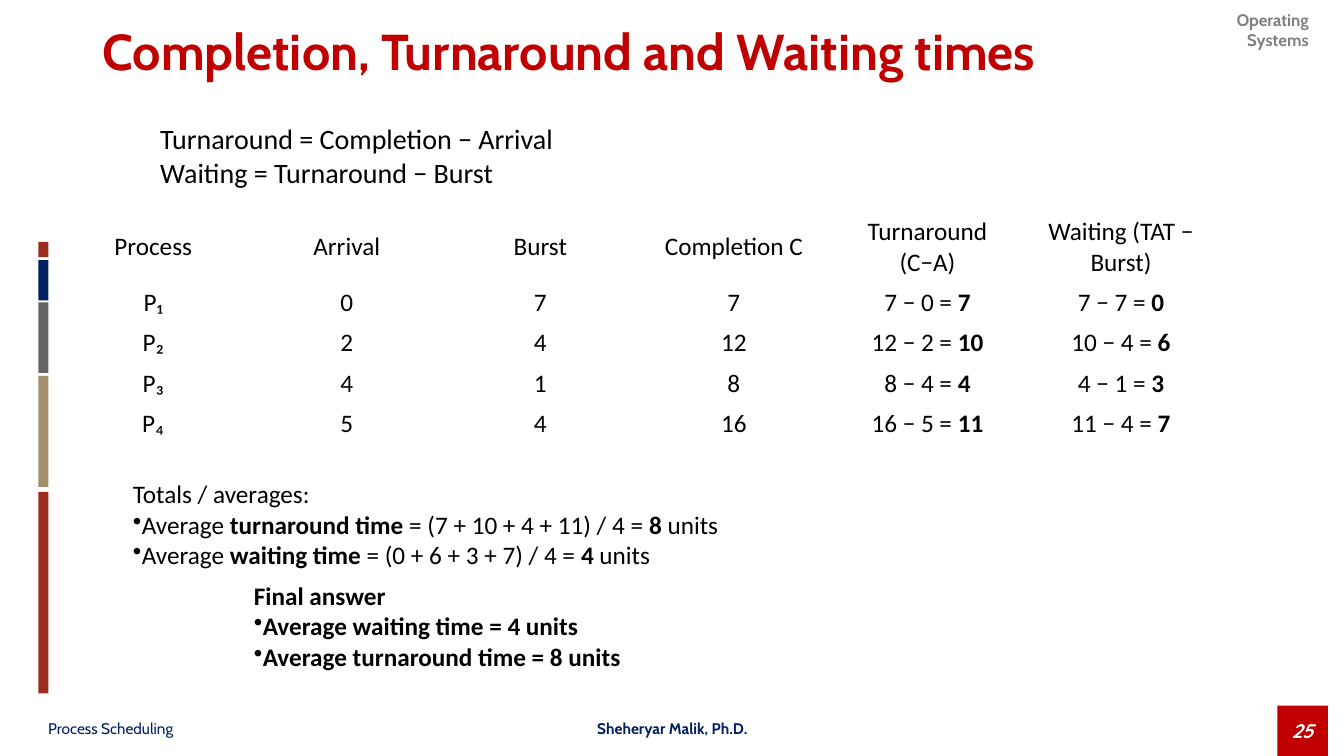
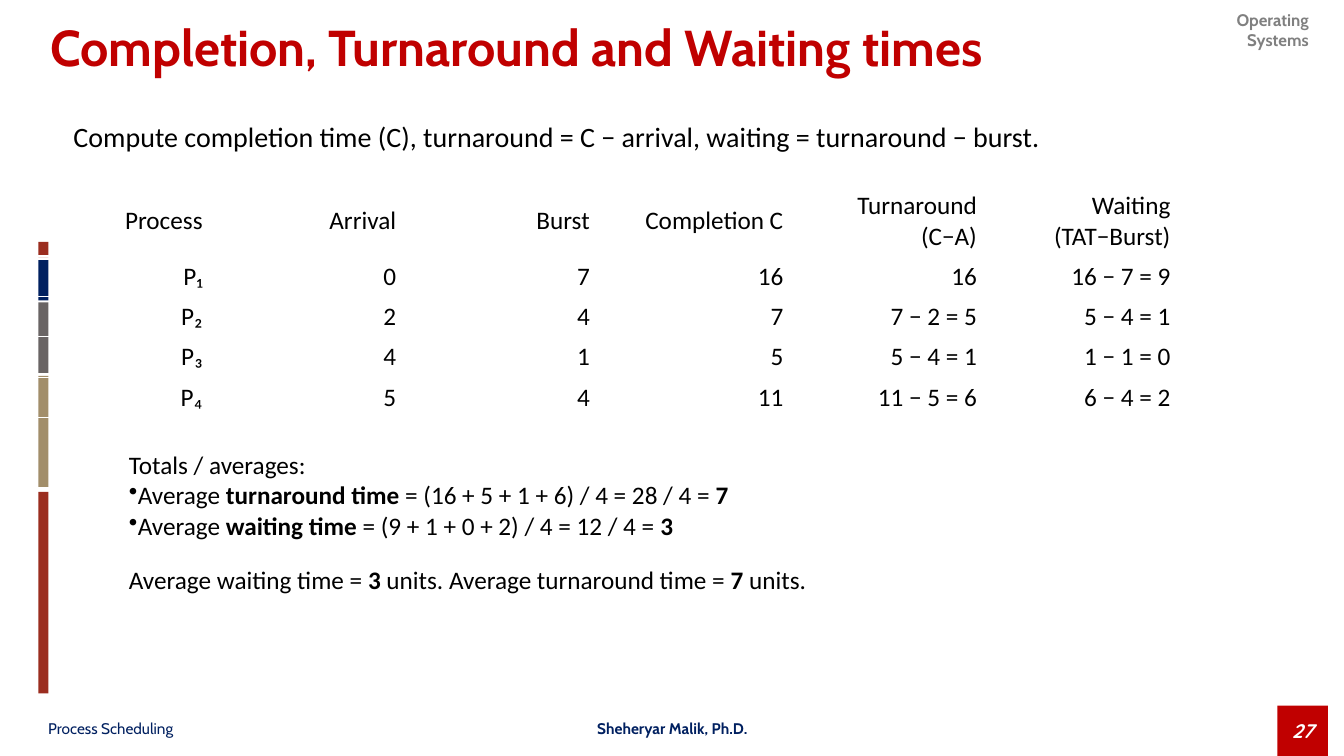
import pptx
import pptx.util
import pptx.dml.color
import pptx.enum.shapes
import pptx.enum.text
import lxml.etree
import pptx.oxml.ns

Inches = pptx.util.Inches
RGBColor = pptx.dml.color.RGBColor
ALIGN = pptx.enum.text.PP_ALIGN
ANCHOR = pptx.enum.text.MSO_ANCHOR

RED = RGBColor(0xC0, 0x00, 0x00)
NAVY = RGBColor(0x00, 0x20, 0x60)
RUST = RGBColor(0x9B, 0x2D, 0x1F)
TAN = RGBColor(0xA2, 0x8E, 0x6A)
SLATE = RGBColor(0x69, 0x64, 0x64)
GREY = RGBColor(0x80, 0x80, 0x80)
BLACK = RGBColor(0, 0, 0)
WHITE = RGBColor(0xFF, 0xFF, 0xFF)

TITLE = "Completion, Turnaround and Waiting times"
COURSE = "Operating Systems"
TOPIC = "Process Scheduling"
AUTHOR = "Sheheryar Malik, Ph.D."

# Side bars: top, height, colour
BARS = [(2.4, 0.15, RUST), (2.58, 0.4, NAVY), (3, 0.7, SLATE),
        (3.73, 1.1, TAN), (4.88, 2, RUST)]
COL_W = 1.92
HEAD_H, ROW_H = 0.7, 0.4

# Text between asterisks is bold; a leading • makes a bullet.
SLIDES = [
    {
        "number": 25,
        "title": (0.92, 0.05, 11.5, 0.98),
        "table": (0.56, 2.1, ALIGN.CENTER),
        "rows": [
            ["Process", "Arrival", "Burst", "Completion C",
             "Turnaround (C−A)", "Waiting (TAT − Burst)"],
            ["P₁", "0", "7", "7", "7 − 0 = *7*", "7 − 7 = *0*"],
            ["P₂", "2", "4", "12", "12 − 2 = *10*", "10 − 4 = *6*"],
            ["P₃", "4", "1", "8", "8 − 4 = *4*", "4 − 1 = *3*"],
            ["P₄", "5", "4", "16", "16 − 5 = *11*", "11 − 4 = *7*"],
        ],
        "texts": [
            ((1.49, 1.16, 6.67, 0.77), 20,
             ["Turnaround = Completion − Arrival",
              "Waiting = Turnaround − Burst"]),
            ((1.22, 4.7, 9.35, 1.01), 18,
             ["Totals / averages:",
              "•Average *turnaround time* = (7 + 10 + 4 + 11) / 4 = *8* units",
              "•Average *waiting time* = (0 + 6 + 3 + 7) / 4 = *4* units"]),
            ((2.42, 5.71, 6.67, 1.01), 18,
             ["*Final answer*",
              "•*Average waiting time = 4 units*",
              "•*Average turnaround time = 8 units*"]),
        ],
    },
    {
        "number": 27,
        "title": (0.4, 0, 11.5, 1),
        "table": (0.19, 1.84, ALIGN.RIGHT),
        "rows": [
            ["Process", "Arrival", "Burst", "Completion C",
             "Turnaround (C−A)", "Waiting (TAT−Burst)"],
            ["P₁", "0", "7", "16", "16", "16 − 7 = 9"],
            ["P₂", "2", "4", "7", "7 − 2 = 5", "5 − 4 = 1"],
            ["P₃", "4", "1", "5", "5 − 4 = 1", "1 − 1 = 0"],
            ["P₄", "5", "4", "11", "11 − 5 = 6", "6 − 4 = 2"],
        ],
        "texts": [
            ((0.63, 1.14, 11.27, 0.44), 20,
             ["Compute completion time (C), turnaround = C − arrival, "
              "waiting = turnaround − burst."]),
            ((1.18, 4.41, 7.08, 1.01), 18,
             ["Totals / averages:",
              "•Average *turnaround time* = (16 + 5 + 1 + 6) / 4 = 28 / 4 = *7*",
              "•Average *waiting time* = (9 + 1 + 0 + 2) / 4 = 12 / 4 = *3*"]),
            ((1.18, 5.55, 7.6, 0.4), 18,
             ["Average waiting time = *3* units. "
              "Average turnaround time = *7* units."]),
        ],
    },
]


def write(para, text, size, color=BLACK, face="Calibri", align=ALIGN.LEFT,
          bold=None, italic=None):
    """Fill a paragraph, reading the • and * marks in the text."""
    para.alignment = align
    if text.startswith("•"):
        text = text[1:]
        props = para._p.get_or_add_pPr()
        bullet = lxml.etree.SubElement(props, pptx.oxml.ns.qn("a:buChar"))
        bullet.set("char", "•")
    pieces = text.split("*")
    whole = len(pieces) == 3 and not pieces[0] and not pieces[2]
    font = para.font
    font.name, font.size = face, pptx.util.Pt(size)
    font.color.rgb = color
    font.bold, font.italic = bold or whole or None, italic
    for i, piece in enumerate(pieces):
        if piece:
            run = para.add_run()
            run.text = piece
            if i % 2 and not whole:
                run.font.bold = True


def add_text(slide, box, lines, size, anchor=ANCHOR.TOP, **style):
    frame = slide.shapes.add_textbox(*map(Inches, box)).text_frame
    frame.word_wrap = True
    frame.vertical_anchor = anchor
    for i, line in enumerate(lines):
        para = frame.add_paragraph() if i else frame.paragraphs[0]
        write(para, line, size, **style)
    return frame


def add_rect(slide, box, color):
    kind = pptx.enum.shapes.MSO_SHAPE.RECTANGLE
    rect = slide.shapes.add_shape(kind, *map(Inches, box))
    rect.shadow.inherit = False
    rect.fill.solid()
    rect.fill.fore_color.rgb = color
    rect.line.fill.background()
    return rect


def add_frame(slide, number):
    """Draw the bars, header and footer that every slide has."""
    add_text(slide, (11.55, 0.05, 1.53, 0.3), [COURSE], 12, color=GREY,
             face="Cabin", align=ALIGN.RIGHT, bold=True)
    badge = add_rect(slide, (12.67, 7, 0.5, 0.5), RED).text_frame
    badge.vertical_anchor = ANCHOR.MIDDLE
    badge.word_wrap = False
    write(badge.paragraphs[0], str(number), 14, WHITE, "Quicksand",
          ALIGN.CENTER, bold=True, italic=True)
    add_text(slide, (0.38, 7.06, 4.4, 0.33), [TOPIC], 11, ANCHOR.MIDDLE,
             color=NAVY, face="Cabin")
    add_text(slide, (4.47, 7.06, 4.4, 0.33), [AUTHOR], 11, ANCHOR.MIDDLE,
             color=NAVY, face="Cabin", align=ALIGN.CENTER, bold=True)
    for top, height, color in BARS:
        add_rect(slide, (0.38, top, 0.1, height), color)


def add_grid(slide, rows, left, top, align):
    count = len(rows[0])
    height = HEAD_H + ROW_H * (len(rows) - 1)
    box = map(Inches, (left, top, COL_W * count, height))
    table = slide.shapes.add_table(len(rows), count, *box).table
    table.first_row = table.horz_banding = False
    for col in table.columns:
        col.width = Inches(COL_W)
    for r, row in enumerate(rows):
        table.rows[r].height = Inches(ROW_H if r else HEAD_H)
        for c, text in enumerate(row):
            cell = table.cell(r, c)
            cell.fill.background()
            cell.vertical_anchor = ANCHOR.MIDDLE
            write(cell.text_frame.paragraphs[0], text, 18, align=align)


def main():
    deck = pptx.Presentation()
    deck.slide_width, deck.slide_height = Inches(13.33), Inches(7.5)
    for data in SLIDES:
        slide = deck.slides.add_slide(deck.slide_layouts[6])
        add_frame(slide, data["number"])
        title = add_text(slide, data["title"], [TITLE], 36, ANCHOR.MIDDLE,
                         color=RED, face="Cabin", bold=True)
        title.paragraphs[0].line_spacing = 0.9
        add_grid(slide, data["rows"], *data["table"])
        for box, size, lines in data["texts"]:
            add_text(slide, box, lines, size)
    deck.save("out.pptx")


if __name__ == "__main__":
    main()
